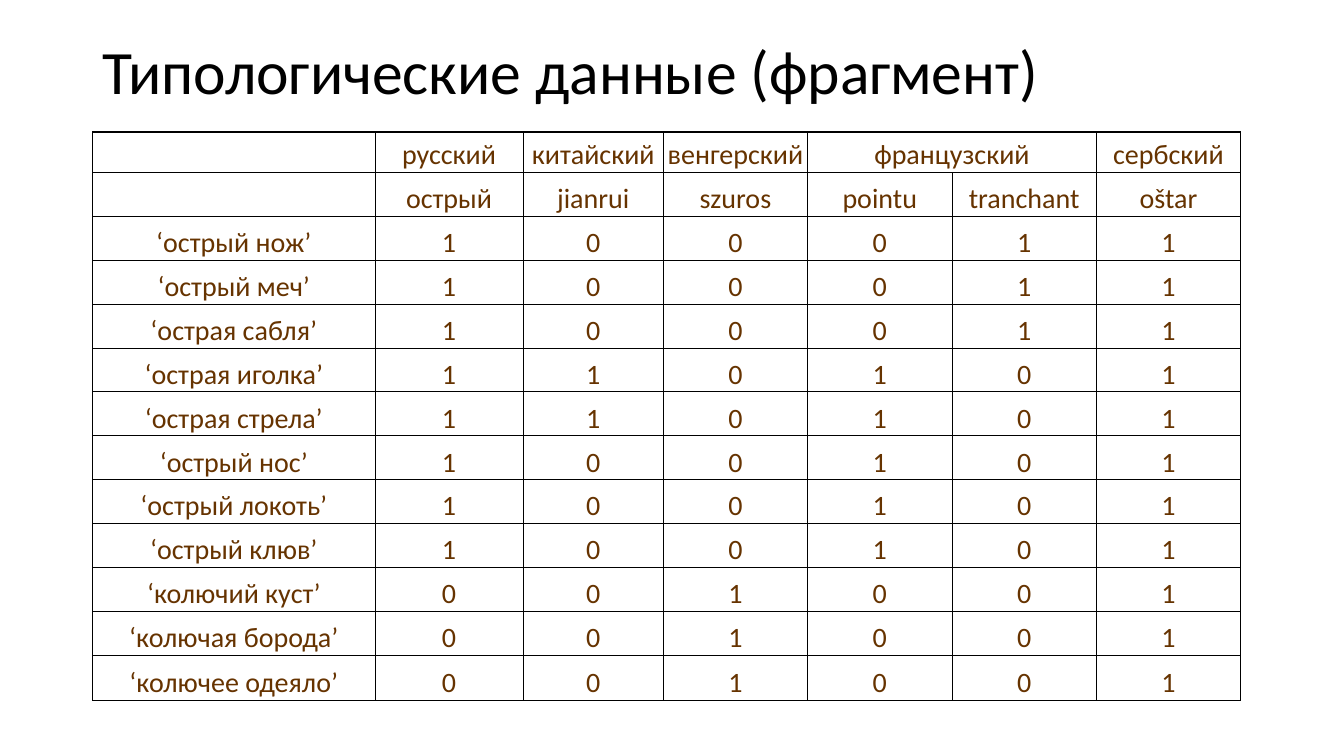
from dataclasses import dataclass

from lxml.etree import SubElement
from pptx import Presentation
from pptx.dml.color import RGBColor
from pptx.enum.text import MSO_ANCHOR, PP_ALIGN
from pptx.oxml.ns import qn
from pptx.slide import Slide
from pptx.table import Table, _Cell
from pptx.text.text import _Paragraph
from pptx.util import Inches, Pt

BLACK = RGBColor(0x00, 0x00, 0x00)
BROWN = RGBColor(0x66, 0x33, 0x00)
FONT = "Calibri"
SLIDE_W, SLIDE_H = Inches(13.33), Inches(7.5)
INNER, OUTER = Pt(0.5), Pt(1)

# Shares of the slide in percent
LEFT = 6.9
TITLE_TOP, TITLE_W, TITLE_H = 2.4, 86.25, 14.8
TABLE_TOP = 17.47
COLUMNS = [21, 11.03, 10.43] + [10.74] * 4
ROWS = [5.33] + [5.81] * 11 + [6]


@dataclass(frozen=True)
class Phrase:
    """A phrase and one 0/1 mark for each adjective column."""
    text: str
    marks: str


LANGUAGES = ["", "русский", "китайский", "венгерский", "французский", "", "сербский"]
ADJECTIVES = ["", "острый", "jianrui", "szuros", "pointu", "tranchant", "oštar"]
FRENCH = (4, 5)
PHRASES = [
    Phrase("острый нож", "100011"),
    Phrase("острый меч", "100011"),
    Phrase("острая сабля", "100011"),
    Phrase("острая иголка", "110101"),
    Phrase("острая стрела", "110101"),
    Phrase("острый нос", "100101"),
    Phrase("острый локоть", "100101"),
    Phrase("острый клюв", "100101"),
    Phrase("колючий куст", "001001"),
    Phrase("колючая борода", "001001"),
    Phrase("колючее одеяло", "001001"),
]


def across(percent: float) -> int:
    """Return a share of the slide width."""
    return round(SLIDE_W * percent / 100)


def down(percent: float) -> int:
    """Return a share of the slide height."""
    return round(SLIDE_H * percent / 100)


def apply(target: object, **values: object) -> None:
    """Set several attributes on one object."""
    for name, value in values.items():
        setattr(target, name, value)


def write(p: _Paragraph, text: str, size: int, color: RGBColor, align: PP_ALIGN) -> None:
    """Write one formatted run into a paragraph."""
    p.alignment = align
    r = p.add_run()
    r.text = text
    apply(r.font, name=FONT, size=Pt(size), bold=False)
    r.font.color.rgb = color


def add_title(s: Slide, text: str) -> None:
    """Move the title placeholder and fill it."""
    title = s.shapes.title
    apply(title, left=across(LEFT), top=down(TITLE_TOP),
          width=across(TITLE_W), height=down(TITLE_H))
    tf = title.text_frame
    apply(tf, vertical_anchor=MSO_ANCHOR.MIDDLE, word_wrap=True)
    p = tf.paragraphs[0]
    p.line_spacing = 0.9
    write(p, text, 44, BLACK, PP_ALIGN.LEFT)


def set_borders(cell: _Cell, widths: dict[str, int]) -> None:
    """Draw solid black borders of the given widths."""
    tc_pr = cell._tc.get_or_add_tcPr()
    for side, width in widths.items():
        line = SubElement(tc_pr, qn(f"a:ln{side}"), w=str(width))
        fill = SubElement(line, qn("a:solidFill"))
        SubElement(fill, qn("a:srgbClr"), val=str(BLACK))


def fill_cell(table: Table, row: int, col: int, text: str) -> None:
    """Format one cell, with thicker borders on the outer edge."""
    cell = table.cell(row, col)
    edges = {"L": col == 0, "R": col == len(COLUMNS) - 1,
             "T": row == 0, "B": row == len(ROWS) - 1}
    set_borders(cell, {side: OUTER if edge else INNER for side, edge in edges.items()})
    cell.fill.background()
    apply(cell, vertical_anchor=MSO_ANCHOR.BOTTOM, margin_left=Inches(0.01),
          margin_right=Inches(0.01), margin_top=Inches(0.01), margin_bottom=0)
    if text:
        write(cell.text_frame.paragraphs[0], text, 20, BROWN, PP_ALIGN.CENTER)


def add_data_table(s: Slide) -> None:
    """Add the table of phrases by language."""
    frame = s.shapes.add_table(len(ROWS), len(COLUMNS), across(LEFT), down(TABLE_TOP),
                               across(sum(COLUMNS)), down(sum(ROWS)))
    table = frame.table
    apply(table, first_row=False, horz_banding=False)
    for column, share in zip(table.columns, COLUMNS):
        column.width = across(share)
    for row, share in zip(table.rows, ROWS):
        row.height = down(share)
    first, last = FRENCH
    table.cell(0, first).merge(table.cell(0, last))
    lines = [LANGUAGES, ADJECTIVES]
    lines += [[f"‘{phrase.text}’", *phrase.marks] for phrase in PHRASES]
    for i, line in enumerate(lines):
        for j, text in enumerate(line):
            fill_cell(table, i, j, text)


prs = Presentation()
apply(prs, slide_width=SLIDE_W, slide_height=SLIDE_H)
s = prs.slides.add_slide(prs.slide_layouts.get_by_name("Title Only"))
add_title(s, "Типологические данные (фрагмент)")
add_data_table(s)
prs.save("out.pptx")
